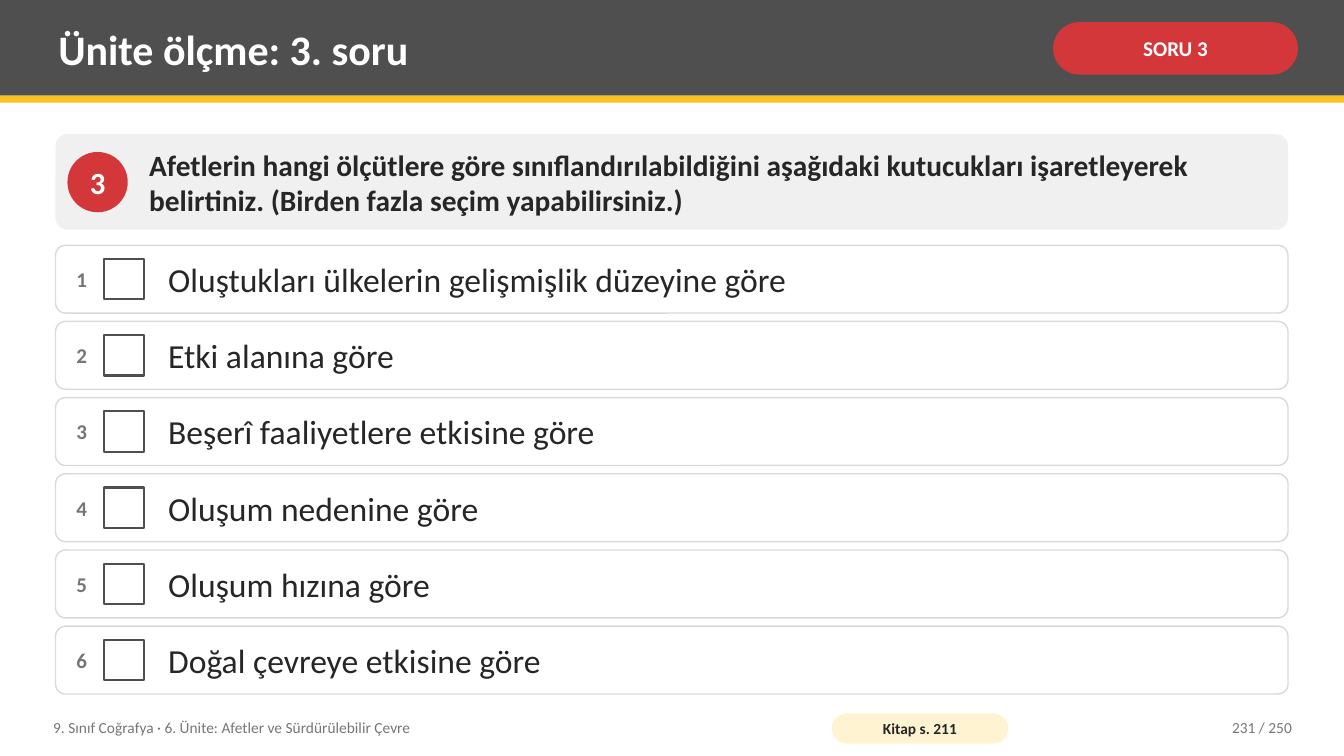
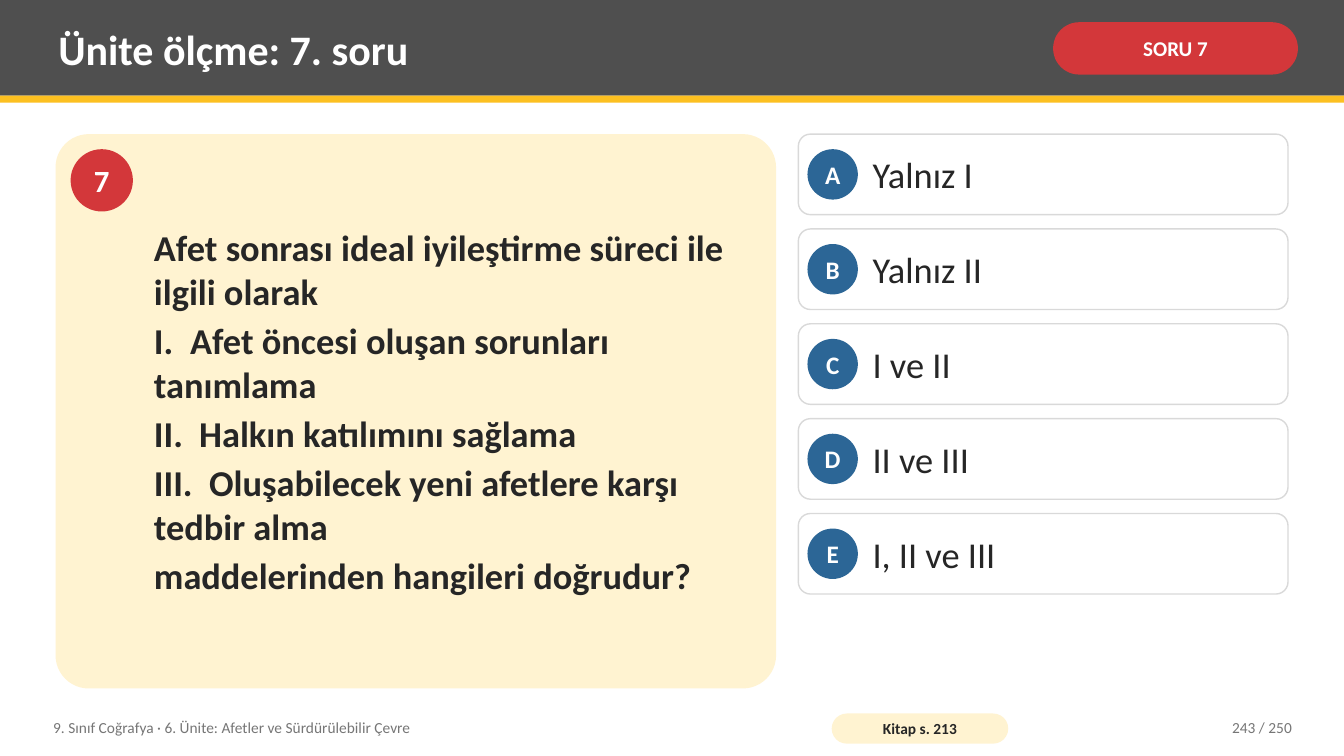
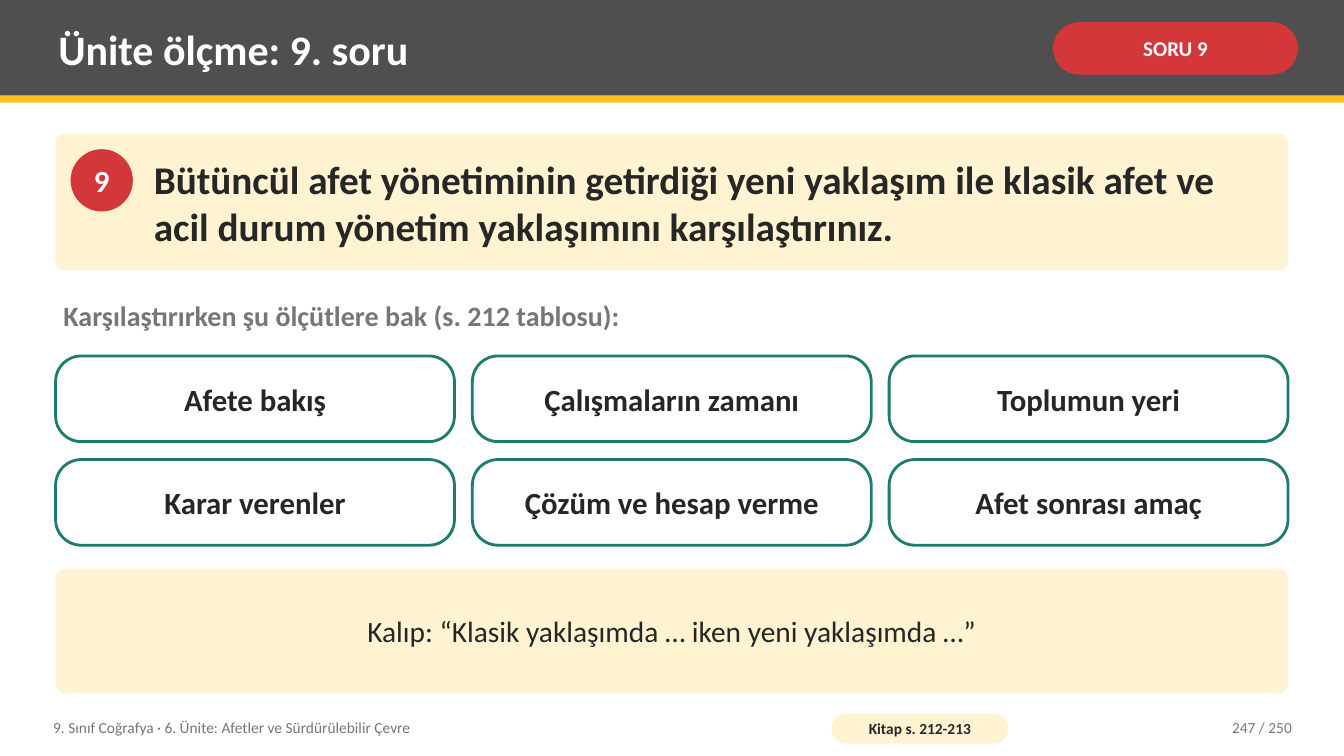
from lxml.etree import SubElement
from pptx import Presentation
from pptx.dml.color import RGBColor
from pptx.enum.shapes import MSO_SHAPE
from pptx.enum.text import MSO_ANCHOR, PP_ALIGN
from pptx.oxml.ns import qn
from pptx.util import Cm, Pt

HUES = {
    "white": "FFFFFF", "dark": "4F4F4F", "gold": "FCC021", "red": "D3373A",
    "cream": "FFF3D1", "pale": "F0F0F0", "ink": "262626", "gray": "767676",
    "edge": "D9D9D9", "blue": "2C6696", "teal": "1E7B6E",
}
RECT, ROUND, OVAL = MSO_SHAPE.RECTANGLE, MSO_SHAPE.ROUNDED_RECTANGLE, MSO_SHAPE.OVAL
LEFT, MID, RIGHT = PP_ALIGN.LEFT, PP_ALIGN.CENTER, PP_ALIGN.RIGHT
EDGE, TOP, WIDE = 1.4, 3.38, 31.06
# Tab stops after the Roman numerals
TABS = {"I.": 0.91, "II.": 1.14, "III.": 1.39}


def draw(slide, kind, at, fill, line=None, thick=1, adj=None):
    shape = slide.shapes.add_shape(kind, *map(Cm, at))
    shape.shadow.inherit = False
    shape.fill.solid()
    shape.fill.fore_color.rgb = RGBColor.from_string(HUES[fill])
    if line:
        shape.line.color.rgb = RGBColor.from_string(HUES[line])
        shape.line.width = Pt(thick)
    else:
        shape.line.fill.background()
    if adj is not None:
        shape.adjustments[0] = adj
    return shape


def write(shape, text, size, hue="ink", bold=False, align=LEFT, pad=(0.2, 0.1), wrap=True):
    frame = shape.text_frame
    form = {
        "word_wrap": wrap, "vertical_anchor": MSO_ANCHOR.MIDDLE,
        "margin_left": Cm(pad[0]), "margin_right": Cm(pad[0]),
        "margin_top": Cm(pad[1]), "margin_bottom": Cm(pad[1]),
    }
    for key, val in form.items():
        setattr(frame, key, val)
    lines = text.split("\n")
    for i, words in enumerate(lines):
        para = frame.add_paragraph() if i else frame.paragraphs[0]
        para.alignment = align
        if "\t" in words:
            stops = SubElement(para._p.get_or_add_pPr(), qn("a:tabLst"))
            stop = TABS[words.split("\t")[0]]
            SubElement(stops, qn("a:tab"), pos=str(int(Cm(stop))), algn="l")
        if i < len(lines) - 1:
            para.space_after = Pt(4)
        run = para.add_run()
        run.text = words
        for key, val in {"name": "Calibri", "size": Pt(size), "bold": bold}.items():
            setattr(run.font, key, val)
        run.font.color.rgb = RGBColor.from_string(HUES[hue])


deck = Presentation()
deck.slide_width, deck.slide_height = Cm(33.87), Cm(19.05)

# Per slide: number, book page, slide page, card (size, fill, corner),
# badge place, question place, question size and wording
pages = [
    (3, "211", 231, (WIDE, 2.41, "pale", 0.126), (1.7, 3.83, 1.52), (3.56, TOP, 28.65, 2.41), 21,
     "Afetlerin hangi ölçütlere göre sınıflandırılabildiğini aşağıdaki kutucukları "
     "işaretleyerek belirtiniz. (Birden fazla seçim yapabilirsiniz.)"),
    (7, "213", 243, (18.16, 13.97, "cream", 0.06), (1.78, 3.76, 1.57), (3.68, 3.58, 15.62, 13.56), 26,
     "Afet sonrası ideal iyileştirme süreci ile ilgili olarak\n"
     "I.\tAfet öncesi oluşan sorunları tanımlama\n"
     "II.\tHalkın katılımını sağlama\n"
     "III.\tOluşabilecek yeni afetlere karşı tedbir alma\n"
     "maddelerinden hangileri doğrudur?"),
    (9, "212-213", 247, (WIDE, 3.43, "cream", 0.06), (1.78, 3.76, 1.57), (3.68, 3.58, 28.52, 3.02), 28,
     "Bütüncül afet yönetiminin getirdiği yeni yaklaşım ile klasik afet ve "
     "acil durum yönetim yaklaşımını karşılaştırınız."),
]

slides = []
for num, book, page, card, badge, place, size, ask in pages:
    slide = deck.slides.add_slide(deck.slide_layouts[6])
    slides.append(slide)

    # Header
    draw(slide, RECT, (0, 0, 33.87, 2.41), "dark")
    draw(slide, RECT, (0, 2.41, 33.87, 0.18), "gold")
    title = slide.shapes.add_textbox(Cm(1.27), Cm(0.18), Cm(24.77), Cm(2.08))
    write(title, f"Ünite ölçme: {num}. soru", 30, "white", True)
    pill = draw(slide, ROUND, (26.54, 0.56, 6.17, 1.32), "red", adj=0.5)
    write(pill, f"SORU {num}", 15, "white", True, MID, (0.13, 0.05))

    # Question card
    wide, high, fill, adj = card
    draw(slide, ROUND, (EDGE, TOP, wide, high), fill, adj=adj)
    left, top, side = badge
    disc = draw(slide, OVAL, (left, top, side, side), "red")
    write(disc, str(num), 22, "white", True, MID, (0, 0), False)
    write(slide.shapes.add_textbox(*map(Cm, place)), ask, size, bold=True)

    # Footer
    foot = slide.shapes.add_textbox(Cm(1.14), Cm(17.88), Cm(19.3), Cm(0.91))
    write(foot, "9. Sınıf Coğrafya · 6. Ünite: Afetler ve Sürdürülebilir Çevre", 11, "gray")
    tag = draw(slide, ROUND, (20.96, 17.98, 4.45, 0.76), "cream", adj=0.5)
    write(tag, f"Kitap s. {book}", 11, bold=True, align=MID, pad=(0.1, 0))
    count = slide.shapes.add_textbox(Cm(28.7), Cm(17.88), Cm(4.06), Cm(0.91))
    write(count, f"{page} / 250", 11, "gray", align=RIGHT)

check, choice, match = slides

# Checklist rows
rows = [
    "Oluştukları ülkelerin gelişmişlik düzeyine göre", "Etki alanına göre",
    "Beşerî faaliyetlere etkisine göre", "Oluşum nedenine göre",
    "Oluşum hızına göre", "Doğal çevreye etkisine göre",
]
high, side = 1.71, 1.02
for i, text in enumerate(rows):
    top = 6.18 + i * 1.92
    draw(check, ROUND, (EDGE, top, WIDE, high), "white", "edge", adj=0.148)
    mark = check.shapes.add_textbox(Cm(1.55), Cm(top), Cm(side), Cm(high))
    write(mark, str(i + 1), 15, "gray", True, MID, (0, 0.1))
    draw(check, RECT, (2.62, top + (high - side) / 2, side, side), "white", "dark", 1.5)
    label = check.shapes.add_textbox(Cm(4.04), Cm(top), Cm(28.22), Cm(high))
    write(label, text, 24)

# Answer options
high, side = 2.03, 1.27
for i, text in enumerate(["Yalnız I", "Yalnız II", "I ve II", "II ve III", "I, II ve III"]):
    top = TOP + i * 2.39
    draw(choice, ROUND, (20.12, top, 12.34, high), "white", "edge", adj=0.15)
    disc = draw(choice, OVAL, (20.35, top + (high - side) / 2, side, side), "blue")
    write(disc, "ABCDE"[i], 18, "white", True, MID, (0, 0), False)
    label = choice.shapes.add_textbox(Cm(21.79), Cm(top), Cm(10.46), Cm(high))
    write(label, text, 26)

# Comparison criteria
hint = match.shapes.add_textbox(Cm(EDGE), Cm(7.32), Cm(WIDE), Cm(1.27))
write(hint, "Karşılaştırırken şu ölçütlere bak (s. 212 tablosu):", 20, "gray", True)
terms = [
    "Afete bakış", "Çalışmaların zamanı", "Toplumun yeri",
    "Karar verenler", "Çözüm ve hesap verme", "Afet sonrası amaç",
]
gap, high = 0.45, 2.16
wide = (WIDE - 2 * gap) / 3
for i, text in enumerate(terms):
    row, col = divmod(i, 3)
    at = (EDGE + col * (wide + gap), 8.97 + row * (high + gap), wide, high)
    tile = draw(match, ROUND, at, "white", "teal", 2, 0.3)
    write(tile, text, 22, bold=True, align=MID, pad=(0.36, 0.2))

# Sentence pattern
base = draw(match, ROUND, (EDGE, 14.33, WIDE, 3.15), "cream", adj=0.08)
write(base, "Kalıp: “Klasik yaklaşımda … iken yeni yaklaşımda …”", 21, align=MID, pad=(0.36, 0.2))

deck.save("out.pptx")
